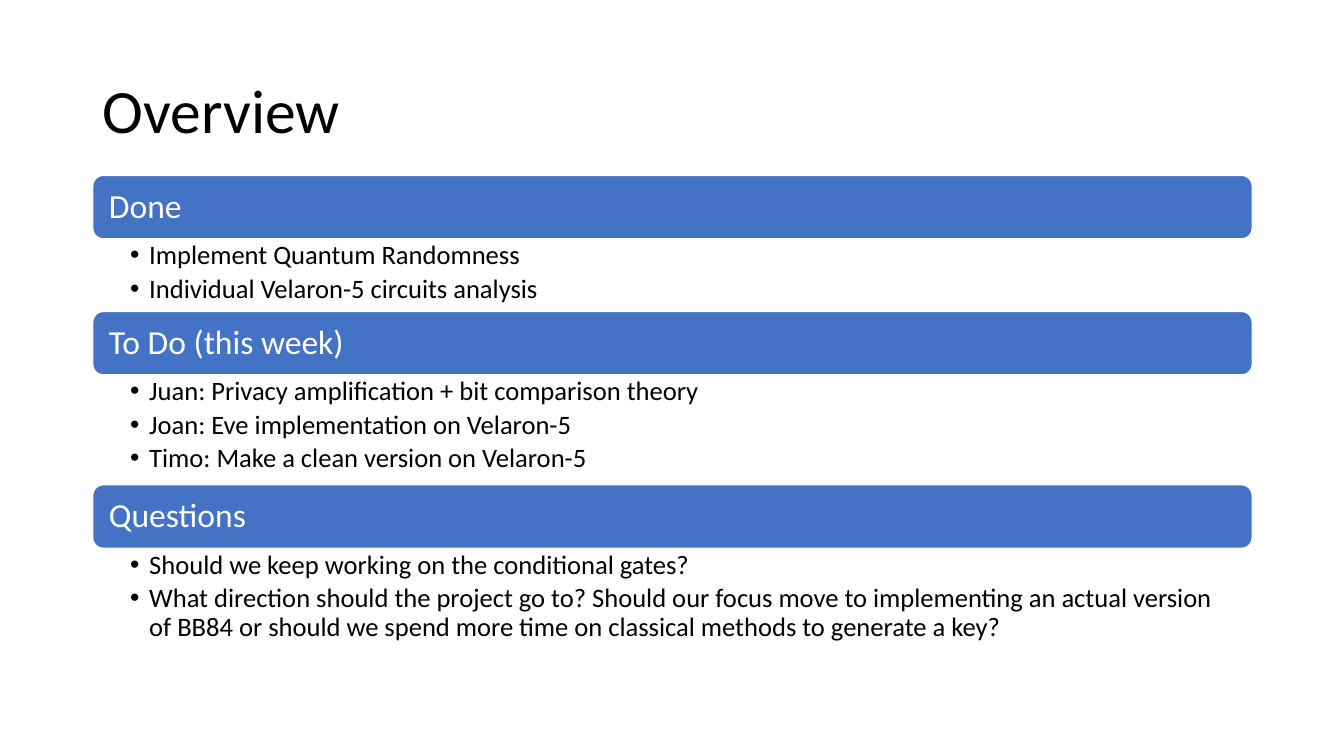
from lxml.etree import SubElement
from pptx import Presentation
from pptx.dml.color import RGBColor
from pptx.enum.shapes import MSO_SHAPE
from pptx.enum.text import MSO_ANCHOR, PP_ALIGN
from pptx.oxml.ns import qn
from pptx.util import Inches, Pt

TITLE = "Overview"
# Heading, height of the list below it, list items
SECTIONS = [
    ("Done", 0.72, [
        "Implement Quantum Randomness",
        "Individual Velaron-5 circuits analysis",
    ]),
    ("To Do (this week)", 1.09, [
        "Juan: Privacy amplification + bit comparison theory",
        "Joan: Eve implementation on Velaron-5",
        "Timo: Make a clean version on Velaron-5",
    ]),
    ("Questions", 1.01, [
        "Should we keep working on the conditional gates?",
        "What direction should the project go to? Should our focus move to "
        "implementing an actual version of BB84 or should we spend more time "
        "on classical methods to generate a key?",
    ]),
]
COLORS = {"bar": "4472C4", "white": "FFFFFF", "text": "000000"}
FONT = "Calibri"
LEFT, WIDTH = 0.92, 11.5
FIRST_TOP, BAR_HEIGHT = 1.74, 0.63
INDENT = 0.19


def color(name):
    return RGBColor.from_string(COLORS[name])


def write(shape, lines, size, color_name, anchor, insets, space_after=0):
    frame = shape.text_frame
    frame.word_wrap = True
    frame.vertical_anchor = anchor
    frame.margin_left, frame.margin_top, frame.margin_right, frame.margin_bottom = map(Inches, insets)
    frame.text = "\n".join(lines)
    for para in frame.paragraphs:
        para.alignment = PP_ALIGN.LEFT
        para.line_spacing = 0.9
        para.space_after = Pt(space_after)
        for span in para.runs:
            span.font.name = FONT
            span.font.size = Pt(size)
            span.font.color.rgb = color(color_name)


def add_bullet(para):
    properties = para._p.get_or_add_pPr()
    properties.set("marL", str(Inches(INDENT)))
    properties.set("indent", str(-Inches(INDENT)))
    SubElement(properties, qn("a:buFont")).set("typeface", "Arial")
    SubElement(properties, qn("a:buChar")).set("char", "•")


def add_box(page, top, height):
    return page.shapes.add_textbox(Inches(LEFT), Inches(top), Inches(WIDTH), Inches(height))


def add_section(page, top, heading, list_height, items):
    # Heading bar
    bar = page.shapes.add_shape(MSO_SHAPE.ROUNDED_RECTANGLE, Inches(LEFT), Inches(top),
                                Inches(WIDTH), Inches(BAR_HEIGHT))
    bar.shadow.inherit = False
    bar.fill.solid()
    bar.fill.fore_color.rgb = color("bar")
    bar.line.color.rgb = color("white")
    bar.line.width = Pt(1)
    write(bar, [heading], 24, "white", MSO_ANCHOR.MIDDLE, (0.13, 0.1, 0.13, 0.1))

    # Bulleted list
    box = add_box(page, top + BAR_HEIGHT, list_height)
    write(box, items, 19, "text", MSO_ANCHOR.TOP, (0.37, 0.03, 0.19, 0.03), space_after=3.4)
    for para in box.text_frame.paragraphs:
        add_bullet(para)


def main():
    deck = Presentation()
    deck.slide_width, deck.slide_height = Inches(13.33), Inches(7.5)
    page = deck.slides.add_slide(deck.slide_layouts[6])

    # Title
    write(add_box(page, 0.4, 1.45), [TITLE], 44, "text", MSO_ANCHOR.MIDDLE, (0.1, 0.05, 0.1, 0.05))

    # Sections stacked one under the other
    top = FIRST_TOP
    for heading, list_height, items in SECTIONS:
        add_section(page, top, heading, list_height, items)
        top += BAR_HEIGHT + list_height

    deck.save("out.pptx")


if __name__ == "__main__":
    main()
